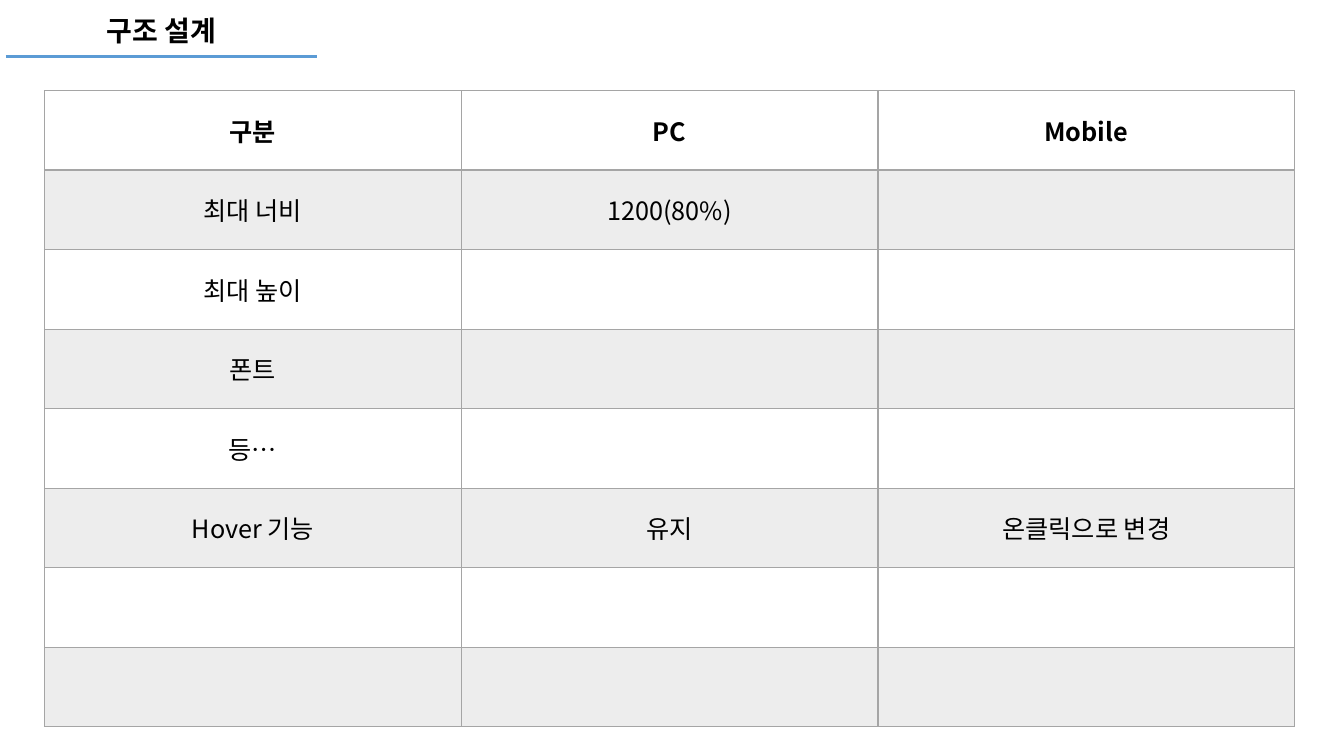
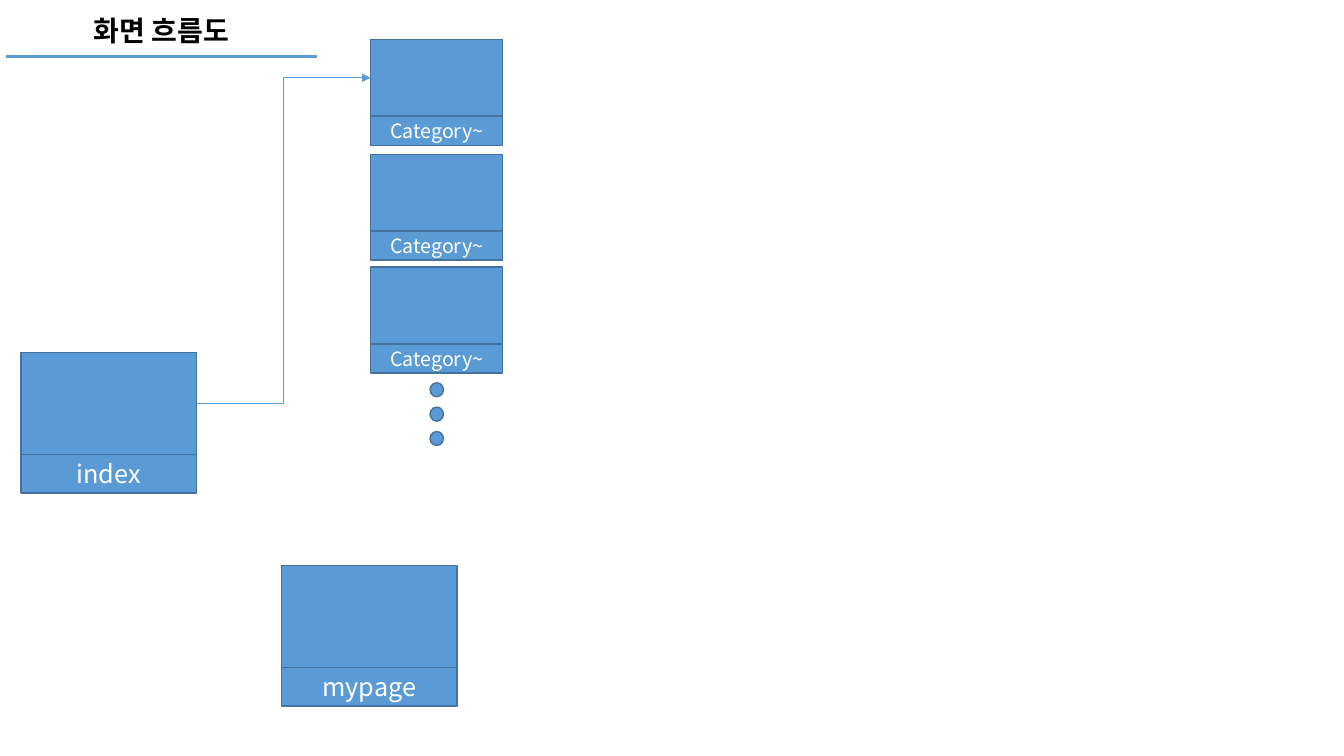
import pptx
import pptx.util
import pptx.dml.color
import pptx.enum.shapes
import pptx.enum.text
import pptx.oxml.ns
from lxml import etree

Pt = pptx.util.Pt
RGBColor = pptx.dml.color.RGBColor
MSO_SHAPE = pptx.enum.shapes.MSO_SHAPE
MSO_CONNECTOR = pptx.enum.shapes.MSO_CONNECTOR
qn = pptx.oxml.ns.qn

BLUE = RGBColor(0x5B, 0x9B, 0xD5)
DARK_BLUE = RGBColor(0x43, 0x73, 0x9E)
GRID = RGBColor(0xA5, 0xA5, 0xA5)
BAND = RGBColor(0xED, 0xED, 0xED)
BLACK = RGBColor(0, 0, 0)
WHITE = RGBColor(0xFF, 0xFF, 0xFF)
FONT = "Noto Sans CJK KR"

COMPARISON = [
    ("구분", "PC", "Mobile"),
    ("최대 너비", "1200(80%)", ""),
    ("최대 높이", "", ""),
    ("폰트", "", ""),
    ("등…", "", ""),
    ("Hover 기능", "유지", "온클릭으로 변경"),
    ("", "", ""),
    ("", "", ""),
]


def write_centred(frame, text, size, color, bold=False):
    frame.text = text
    frame.vertical_anchor = pptx.enum.text.MSO_ANCHOR.MIDDLE
    paragraph = frame.paragraphs[0]
    paragraph.alignment = pptx.enum.text.PP_ALIGN.CENTER
    for run in paragraph.runs:
        run.font.size = Pt(size)
        run.font.bold = bold
        run.font.color.rgb = color
        run.font.name = FONT
        east_asian = etree.SubElement(run.font._element, qn("a:ea"))
        east_asian.set("typeface", FONT)


def add_line(shapes, kind, start, end, weight):
    line = shapes.add_connector(kind, *(Pt(v) for v in start + end))
    line.line.color.rgb = BLUE
    line.line.width = Pt(weight)
    etree.SubElement(line._element.spPr, qn("a:effectLst"))
    return line


def add_titled_slide(deck, text, left=4.3, top=3.6, width=222, height=36.7):
    """Add a slide with the shared heading and its underline."""
    slide = deck.slides.add_slide(deck.slide_layouts[5])
    title = slide.shapes.title
    title.left, title.top = Pt(left), Pt(top)
    title.width, title.height = Pt(width), Pt(height)
    write_centred(title.text_frame, text, 20, BLACK, bold=True)
    base = top + height
    add_line(slide.shapes, MSO_CONNECTOR.STRAIGHT,
             (left, base), (left + width, base), 2.25)
    return slide


def set_borders(cell, bottom_weight):
    properties = cell._tc.get_or_add_tcPr()
    for side, weight in (("L", 1), ("R", 1), ("T", 1), ("B", bottom_weight)):
        border = etree.SubElement(properties, qn(f"a:ln{side}"), w=str(Pt(weight)))
        fill = etree.SubElement(border, qn("a:solidFill"))
        etree.SubElement(fill, qn("a:srgbClr"), val=str(GRID))


def add_comparison(slide, left, top, width, height):
    columns = len(COMPARISON[0])
    table = slide.shapes.add_table(len(COMPARISON), columns, Pt(left), Pt(top),
                                   Pt(width), Pt(height)).table
    for r, texts in enumerate(COMPARISON):
        for c, text in enumerate(texts):
            cell = table.cell(r, c)
            set_borders(cell, 2 if r == 0 else 1)
            if r % 2:
                cell.fill.solid()
                cell.fill.fore_color.rgb = BAND
            else:
                cell.fill.background()
            write_centred(cell.text_frame, text, 18, BLACK, bold=r == 0)
            cell.vertical_anchor = pptx.enum.text.MSO_ANCHOR.MIDDLE


def add_blue_shape(shapes, kind, left, top, width, height):
    shape = shapes.add_shape(kind, Pt(left), Pt(top), Pt(width), Pt(height))
    shape.shadow.inherit = False
    shape.fill.solid()
    shape.fill.fore_color.rgb = BLUE
    shape.line.color.rgb = DARK_BLUE
    shape.line.width = Pt(1)
    return shape


def add_page(slide, left, top, width, name, size):
    """Group a screen with its name bar; return the screen."""
    screen_height, bar_height = 0.58 * width, 0.22 * width
    shapes = slide.shapes.add_group_shape().shapes
    screen = add_blue_shape(shapes, MSO_SHAPE.RECTANGLE,
                            left, top, width, screen_height)
    bar = add_blue_shape(shapes, MSO_SHAPE.RECTANGLE,
                         left, top + screen_height, width, bar_height)
    bar.text_frame.margin_top = bar.text_frame.margin_bottom = 0
    write_centred(bar.text_frame, name, size, WHITE)
    return screen


def add_categories(slide, left, width, tops):
    """Stack the category pages with continuation dots; return the screens."""
    screens = [add_page(slide, left, top, width, "Category~", 14) for top in tops]
    dot_width, dot_height, dot_step = 9.6, 10, 17.4
    first_dot = tops[-1] + 0.8 * width + 7
    for i in range(3):
        add_blue_shape(slide.shapes, MSO_SHAPE.FLOWCHART_CONNECTOR,
                       left + (width - dot_width) / 2, first_dot + i * dot_step,
                       dot_width, dot_height)
    return screens


def add_flow_arrow(slide, source, target):
    arrow = add_line(slide.shapes, MSO_CONNECTOR.ELBOW, (0, 0), (0, 0), 0.5)
    arrow.begin_connect(source, 3)
    arrow.end_connect(target, 1)
    etree.SubElement(arrow.line._get_or_add_ln(), qn("a:tailEnd"), type="triangle")


def build_structure(deck):
    slide = add_titled_slide(deck, "구조 설계")
    add_comparison(slide, 31.8, 64.8, 893, 454.4)


def build_flow(deck):
    slide = add_titled_slide(deck, "화면 흐름도")
    index = add_page(slide, 15, 251.8, 125.5, "index", 18)
    categories = add_categories(slide, 264.7, 94.5, (28.2, 110.2, 190.8))
    add_page(slide, 201, 404, 125.5, "mypage", 18)
    add_flow_arrow(slide, index, categories[0])


def main():
    deck = pptx.Presentation()
    deck.slide_width, deck.slide_height = Pt(960), Pt(540)
    build_structure(deck)
    build_flow(deck)
    deck.save("out.pptx")


if __name__ == "__main__":
    main()
